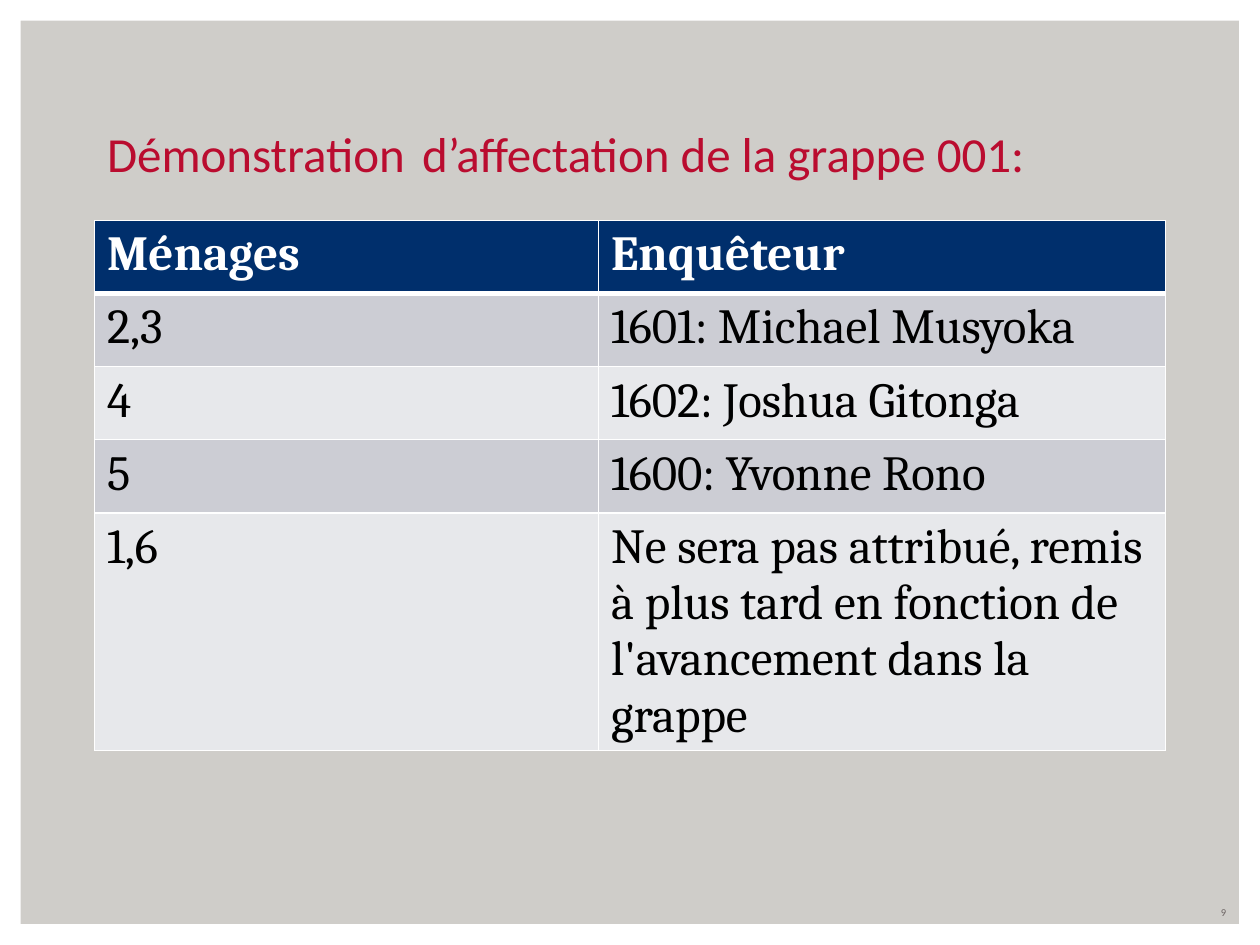
from lxml import etree
from pptx import Presentation
from pptx import util as u
from pptx.dml.color import RGBColor
from pptx.enum import shapes, text
from pptx.oxml.ns import qn

PX = 9144
INK = {"back": "CFCDC9", "white": "FFFFFF", "red": "BA0C2F", "navy": "002F6C",
       "odd": "CCCDD4", "even": "E7E8EB", "black": "000000", "grey": "6C6463"}
ROWS = [
    ("Ménages", "Enquêteur"),
    ("2,3", "1601: Michael Musyoka"),
    ("4", "1602: Joshua Gitonga"),
    ("5", "1600: Yvonne Rono"),
    ("1,6", "Ne sera pas attribué, remis à plus tard en fonction de "
            "l'avancement dans la grappe"),
]


def emu(*vals):
    """Turn px lengths into EMU."""
    return [u.Emu(v * PX) for v in vals]


def paint(fill, ink):
    """Give a fill one solid colour."""
    fill.solid()
    fill.fore_color.rgb = RGBColor.from_string(INK[ink])


def write(para, words, size, face, ink, bold=False):
    """Add one formatted run to a paragraph."""
    run = para.add_run()
    run.text = words
    font = run.font
    font.size, font.name, font.bold = u.Pt(size), face, bold
    font.color.rgb = RGBColor.from_string(INK[ink])


def edge(cell, low):
    """Draw white cell borders, with the bottom one low points wide."""
    props = cell._tc.get_or_add_tcPr()
    for spot, (side, wide) in enumerate(zip("LRTB", (1, 1, 1, low))):
        line = etree.Element(qn(f"a:ln{side}"), w=str(u.Pt(wide)))
        fill = etree.SubElement(line, qn("a:solidFill"))
        etree.SubElement(fill, qn("a:srgbClr"), val=INK["white"])
        props.insert(spot, line)


def add_frame(slide, box):
    """Place the white frame behind everything else."""
    frame = slide.shapes.add_shape(shapes.MSO_SHAPE.FRAME, *emu(*box))
    frame.adjustments[0] = 0.022
    frame.shadow.inherit = False
    paint(frame.fill, "white")
    frame.line.fill.background()
    slide.shapes.title.element.addprevious(frame.element)


def add_title(slide, box):
    """Fill the title placeholder."""
    title = slide.shapes.title
    title.left, title.top, title.width, title.height = emu(*box)
    body = title.text_frame
    body.auto_size = text.MSO_AUTO_SIZE.NONE
    body.vertical_anchor = text.MSO_ANCHOR.BOTTOM
    para = body.paragraphs[0]
    para.alignment = text.PP_ALIGN.LEFT
    write(para, "Démonstration\td’affectation de la grappe 001:",
          28, "Calibri", "red")


def add_grid(slide, box, cols, high):
    """Build the table of households and interviewers."""
    grid = slide.shapes.add_table(len(ROWS), len(cols), *emu(*box)).table
    for col, wide in zip(grid.columns, emu(*cols)):
        col.width = wide
    for r, row in enumerate(ROWS):
        head = r == 0
        grid.rows[r].height = emu(high)[0]
        for c, words in enumerate(row):
            cell = grid.cell(r, c)
            paint(cell.fill, "navy" if head else "odd" if r % 2 else "even")
            edge(cell, 3 if head else 1)
            write(cell.text_frame.paragraphs[0], words, 28, "Cambria",
                  "white" if head else "black", head)


def add_number(slide, box):
    """Place the page number at the lower right."""
    body = slide.shapes.add_textbox(*emu(*box)).text_frame
    body.word_wrap = True
    body.vertical_anchor = text.MSO_ANCHOR.MIDDLE
    para = body.paragraphs[0]
    para.alignment = text.PP_ALIGN.RIGHT
    write(para, "9", 6, "Calibri", "grey")


def main():
    """Build and save the slide."""
    deck = Presentation()
    deck.slide_width, deck.slide_height = emu(1000, 750)
    slide = deck.slides.add_slide(deck.slide_layouts[5])
    paint(slide.background.fill, "back")
    add_frame(slide, (0, 0, 1000, 750))
    add_title(slide, (75, 50, 850, 100))
    add_grid(slide, (75, 175, 850, 430), (400, 450), 58)
    add_number(slide, (750, 715, 233, 18))
    deck.save("out.pptx")


if __name__ == "__main__":
    main()
